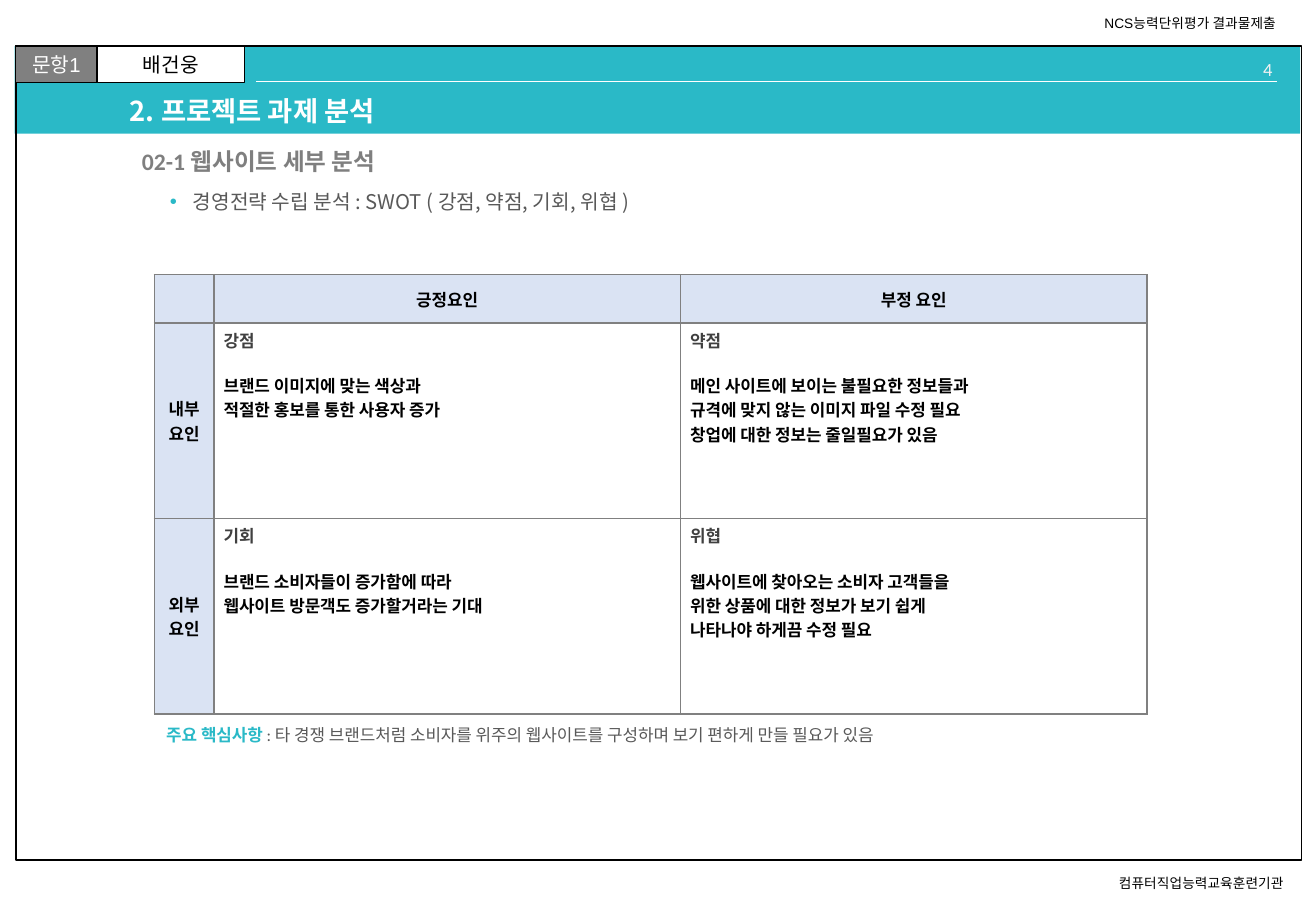
from lxml.etree import SubElement
from pptx import Presentation
from pptx.dml.color import RGBColor
from pptx.enum.shapes import MSO_CONNECTOR, MSO_SHAPE
from pptx.enum.text import MSO_ANCHOR as ANCHOR, PP_ALIGN as ALIGN
from pptx.oxml import parse_xml
from pptx.oxml.ns import nsdecls, qn
from pptx.util import Inches, Pt

TEAL, BLACK, WHITE = "2AB9C7", "000000", "FFFFFF"
HEADER_BLUE, GRID_GRAY, BODY_GRAY = "DAE3F3", "808080", "595959"
NOTO = "Noto Sans CJK KR"


def color(hex_string):
    return RGBColor.from_string(hex_string)


def write(frame, text, size=10, font="Calibri", fill=BLACK, bold=False, align=ALIGN.LEFT,
          anchor=ANCHOR.TOP, wrap=True, before=0, spacing=1.0, more=False):
    """Write one paragraph; text is a string or a list of (text, colour, bold) runs."""
    frame.word_wrap = wrap
    frame.vertical_anchor = anchor
    paragraph = frame.add_paragraph() if more else frame.paragraphs[0]
    paragraph.alignment = align
    paragraph.space_before = Pt(before)
    paragraph.line_spacing = spacing
    runs = [(text, fill, bold)] if isinstance(text, str) else text
    for run_text, run_color, run_bold in runs:
        run = paragraph.add_run()
        run.text = run_text
        run.font.name, run.font.size, run.font.bold = font, Pt(size), run_bold
        run.font.color.rgb = color(run_color)
        SubElement(run.font._element, qn("a:ea"), typeface=NOTO)
    return paragraph


presentation = Presentation()
presentation.slide_width, presentation.slide_height = Inches(10.83), Inches(7.5)
slide = presentation.slides.add_slide(presentation.slide_layouts[6])
shapes = slide.shapes

# Title band, page frame and the two label boxes
boxes = [
    (0.12, 0.38, 10.58, 0.72, TEAL, 0, "", WHITE),
    (0.13, 0.38, 10.58, 6.7, None, 1, "", BLACK),
    (0.13, 0.38, 0.67, 0.3, GRID_GRAY, 0.75, "문항1", WHITE),
    (0.8, 0.38, 1.21, 0.3, WHITE, 0.75, "배건웅", BLACK),
]
for left, top, width, height, fill, line_width, label, label_color in boxes:
    box = shapes.add_shape(MSO_SHAPE.RECTANGLE, Inches(left), Inches(top),
                           Inches(width), Inches(height))
    box.shadow.inherit = False
    if fill:
        box.fill.solid()
        box.fill.fore_color.rgb = color(fill)
    else:
        box.fill.background()
    if line_width:
        box.line.color.rgb = color(BLACK)
        box.line.width = Pt(line_width)
    else:
        box.line.fill.background()
    if label:
        write(box.text_frame, label, size=12, font="Arial", fill=label_color,
              align=ALIGN.CENTER, anchor=ANCHOR.MIDDLE)

# Rule under the page number
rule = shapes.add_connector(MSO_CONNECTOR.STRAIGHT, Inches(2.11), Inches(0.67),
                            Inches(10.51), Inches(0.67))
rule.line.color.rgb = color(WHITE)
rule.line.width = Pt(0.5)
SubElement(rule._element.spPr, qn("a:effectLst"))

# Header, footer, headings and key point
small = dict(size=8.1, font="Arial", wrap=False)
key_point = [
    ("주요 핵심사항 ", TEAL, True),
    (": 타 경쟁 브랜드처럼 소비자를 위주의 웹사이트를 구성하며 보기 편하게 만들 필요가 있음",
     BODY_GRAY, False),
]
texts = [
    (9.11, 7.15, 1.68, 0.24, "컴퓨터직업능력교육훈련기관", small),
    (8.99, 0.07, 1.72, 0.24, "NCS능력단위평가 결과물제출", small),
    (9.39, 0.43, 1.18, 0.2, "4", dict(size=11, fill="F2F2F2", align=ALIGN.RIGHT)),
    (0.97, 0.76, 8.76, 0.34, "2. 프로젝트 과제 분석",
     dict(size=16.2, font=NOTO, fill=WHITE, bold=True, anchor=ANCHOR.MIDDLE, spacing=0.9)),
    (1.07, 1.17, 8.66, 0.34, "02-1 웹사이트 세부 분석",
     dict(size=14, fill="7F7F7F", bold=True, anchor=ANCHOR.MIDDLE, spacing=0.9, before=10)),
    (1.27, 5.92, 8.17, 0.27, key_point, {}),
    (1.3, 1.51, 8.43, 0.34, "경영전략 수립 분석 : SWOT ( 강점, 약점, 기회, 위협 )",
     dict(size=12, font=NOTO, fill=BODY_GRAY, before=3)),
]
for left, top, width, height, text, text_format in texts:
    text_box = shapes.add_textbox(Inches(left), Inches(top), Inches(width), Inches(height))
    paragraph = write(text_box.text_frame, text, **text_format)

# Bullet on the SWOT line, the last one written
bullet = paragraph._p.get_or_add_pPr()
bullet.set("marL", str(Inches(0.19)))
bullet.set("indent", str(-Inches(0.19)))
bullet_color = SubElement(bullet, qn("a:buClr"))
SubElement(bullet_color, qn("a:srgbClr"), val=TEAL)
SubElement(bullet, qn("a:buFont"), typeface="Arial")
SubElement(bullet, qn("a:buChar"), char="•")

# SWOT table: a string is a header, a list is a heading with its lines
swot = [
    ["", "긍정요인", "부정 요인"],
    ["내부요인",
     ["강점", "브랜드 이미지에 맞는 색상과", "적절한 홍보를 통한 사용자 증가"],
     ["약점", "메인 사이트에 보이는 불필요한 정보들과", "규격에 맞지 않는 이미지 파일 수정 필요",
      "창업에 대한 정보는 줄일필요가 있음"]],
    ["외부요인",
     ["기회", "브랜드 소비자들이 증가함에 따라", "웹사이트 방문객도 증가할거라는 기대"],
     ["위협", "웹사이트에 찾아오는 소비자 고객들을", "위한 상품에 대한 정보가 보기 쉽게",
      "나타나야 하게끔 수정 필요"]],
]
table = shapes.add_table(3, 3, Inches(1.27), Inches(2.26), Inches(8.17), Inches(3.62)).table
for column, width in zip(table.columns, (0.49, 3.84, 3.84)):
    column.width = Inches(width)
for row, height in zip(table.rows, (0.4, 1.61, 1.61)):
    row.height = Inches(height)

for row_index, row_content in enumerate(swot):
    for column_index, content in enumerate(row_content):
        cell = table.cell(row_index, column_index)
        cell.margin_left = cell.margin_right = Inches(0.08)
        cell.margin_top = cell.margin_bottom = Inches(0.04)
        is_header = isinstance(content, str)
        if is_header:
            write(cell.text_frame, content, bold=True, align=ALIGN.CENTER)
            cell.vertical_anchor = ANCHOR.MIDDLE
        else:
            for index, line in enumerate(content):
                write(cell.text_frame, line, bold=True, fill=BLACK if index else "404040",
                      before=12.4 if index == 1 else 0, more=index > 0)
            cell.vertical_anchor = ANCHOR.TOP
        properties = cell._tc.get_or_add_tcPr()
        for attribute in ("anchorCtr", "wrap"):
            properties.attrib.pop(attribute, None)
        for side in ("lnL", "lnR", "lnT", "lnB"):
            properties.append(parse_xml(
                f'<a:{side} {nsdecls("a")} w="{Pt(1)}"><a:solidFill>'
                f'<a:srgbClr val="{GRID_GRAY}"/></a:solidFill></a:{side}>'))
        cell.fill.solid()
        cell.fill.fore_color.rgb = color(HEADER_BLUE if is_header else WHITE)

presentation.save("out.pptx")
